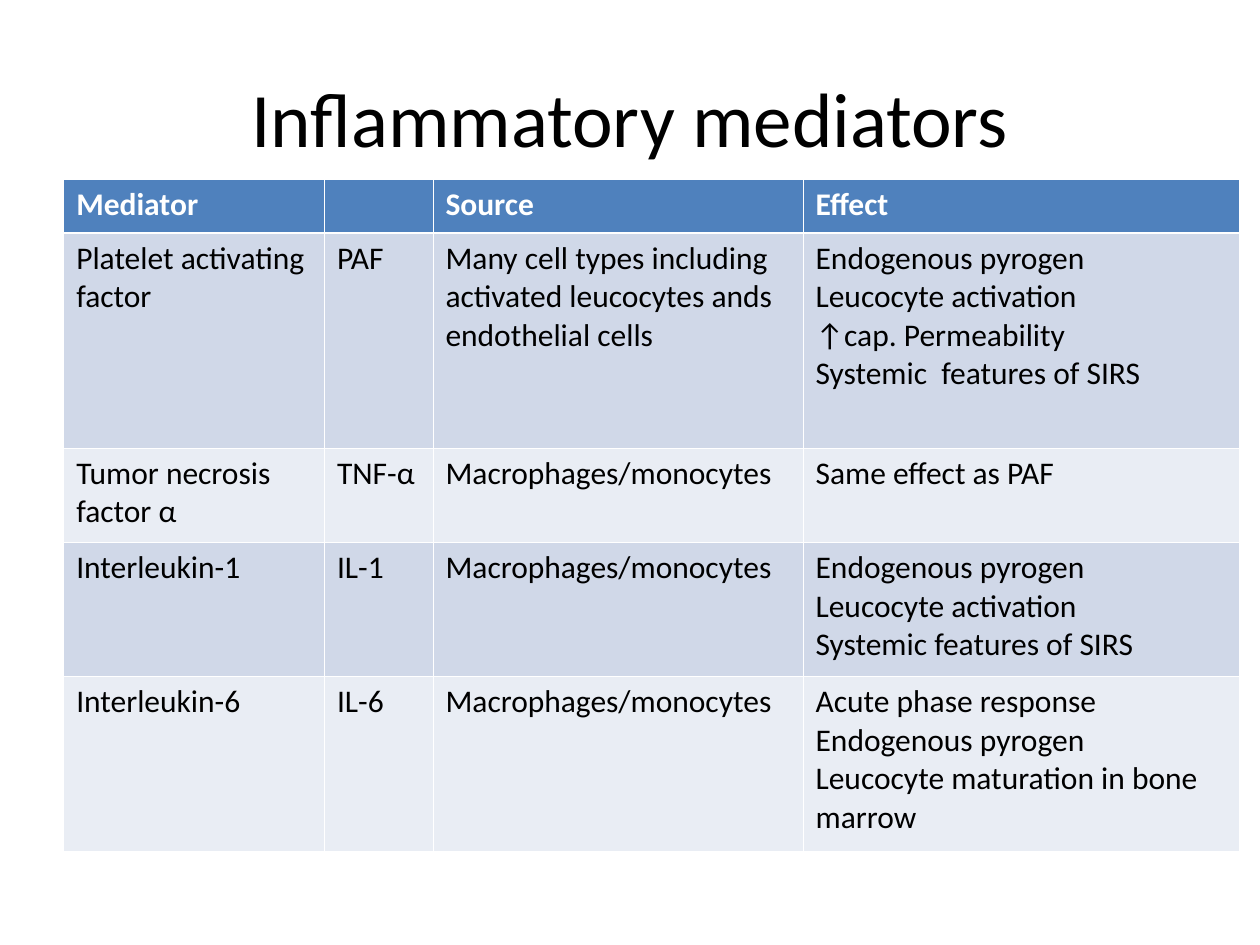
from lxml import etree
from pptx import Presentation
from pptx.dml.color import RGBColor
from pptx.enum import text
from pptx.oxml import ns
from pptx.util import Pt

BLACK = RGBColor(0, 0, 0)
WHITE = RGBColor(255, 255, 255)
BLUE = RGBColor(0x4F, 0x81, 0xBD)
BANDS = [RGBColor(0xD0, 0xD8, 0xE8), RGBColor(0xE9, 0xED, 0xF4)]
THIN, THICK = 0.45, 1.47

COLS = [149, 62, 211.5, 249.3]
ROWS = [30.9, 122.9, 53.8, 76.7, 100]
CELLS = [
    ["Mediator", "", "Source", "Effect"],
    ["Platelet activating factor", "PAF",
     "Many cell types including activated leucocytes ands endothelial cells",
     "Endogenous pyrogen\nLeucocyte activation\n↑cap. Permeability\n"
     "Systemic  features of SIRS"],
    ["Tumor necrosis factor α", "TNF-α", "Macrophages/monocytes",
     "Same effect as PAF"],
    ["Interleukin-1", "IL-1", "Macrophages/monocytes",
     "Endogenous pyrogen\nLeucocyte activation\nSystemic features of SIRS"],
    ["Interleukin-6", "IL-6", "Macrophages/monocytes",
     "Acute phase response\nEndogenous pyrogen\n"
     "Leucocyte maturation in bone marrow"],
]


def write(frame, words, size=18, color=BLACK, bold=False,
          align=text.PP_ALIGN.LEFT):
    frame.text = words
    for para in frame.paragraphs:
        para.alignment = align
        font = para.font
        font.name, font.size, font.bold = "Calibri", Pt(size), bold
        font.color.rgb = color


def edge(cell, side, width):
    props = cell._tc.get_or_add_tcPr()
    line = etree.SubElement(props, ns.qn(f"a:ln{side}"), w=str(Pt(width)))
    fill = etree.SubElement(line, ns.qn("a:solidFill"))
    etree.SubElement(fill, ns.qn("a:srgbClr"), val=str(WHITE))


def add_title(slide, words):
    title = slide.shapes.title
    title.left, title.top = Pt(36), Pt(21.6)
    title.width, title.height = Pt(648), Pt(90)
    title.text_frame.vertical_anchor = text.MSO_ANCHOR.MIDDLE
    write(title.text_frame, words, size=44, align=text.PP_ALIGN.CENTER)


def add_grid(slide):
    frame = slide.shapes.add_table(
        len(ROWS), len(COLS), Pt(36.4), Pt(102.3),
        Pt(sum(COLS)), Pt(sum(ROWS)))
    grid = frame.table
    for col, width in zip(grid.columns, COLS):
        col.width = Pt(width)
    for row, height in zip(grid.rows, ROWS):
        row.height = Pt(height)
    for r, line in enumerate(CELLS):
        head = r == 0
        widths = {"L": THIN, "R": THIN,
                  "T": THICK if r == 1 else THIN,
                  "B": THICK if head else THIN}
        for c, words in enumerate(line):
            cell = grid.cell(r, c)
            for side, width in widths.items():
                edge(cell, side, width)
            cell.fill.solid()
            cell.fill.fore_color.rgb = BLUE if head else BANDS[(r - 1) % 2]
            write(cell.text_frame, words, bold=head,
                  color=WHITE if head else BLACK)


def main():
    deck = Presentation()
    deck.slide_width, deck.slide_height = Pt(720), Pt(540)
    slide = deck.slides.add_slide(deck.slide_layouts[5])
    add_title(slide, "Inflammatory mediators")
    add_grid(slide)
    deck.save("out.pptx")


if __name__ == "__main__":
    main()
